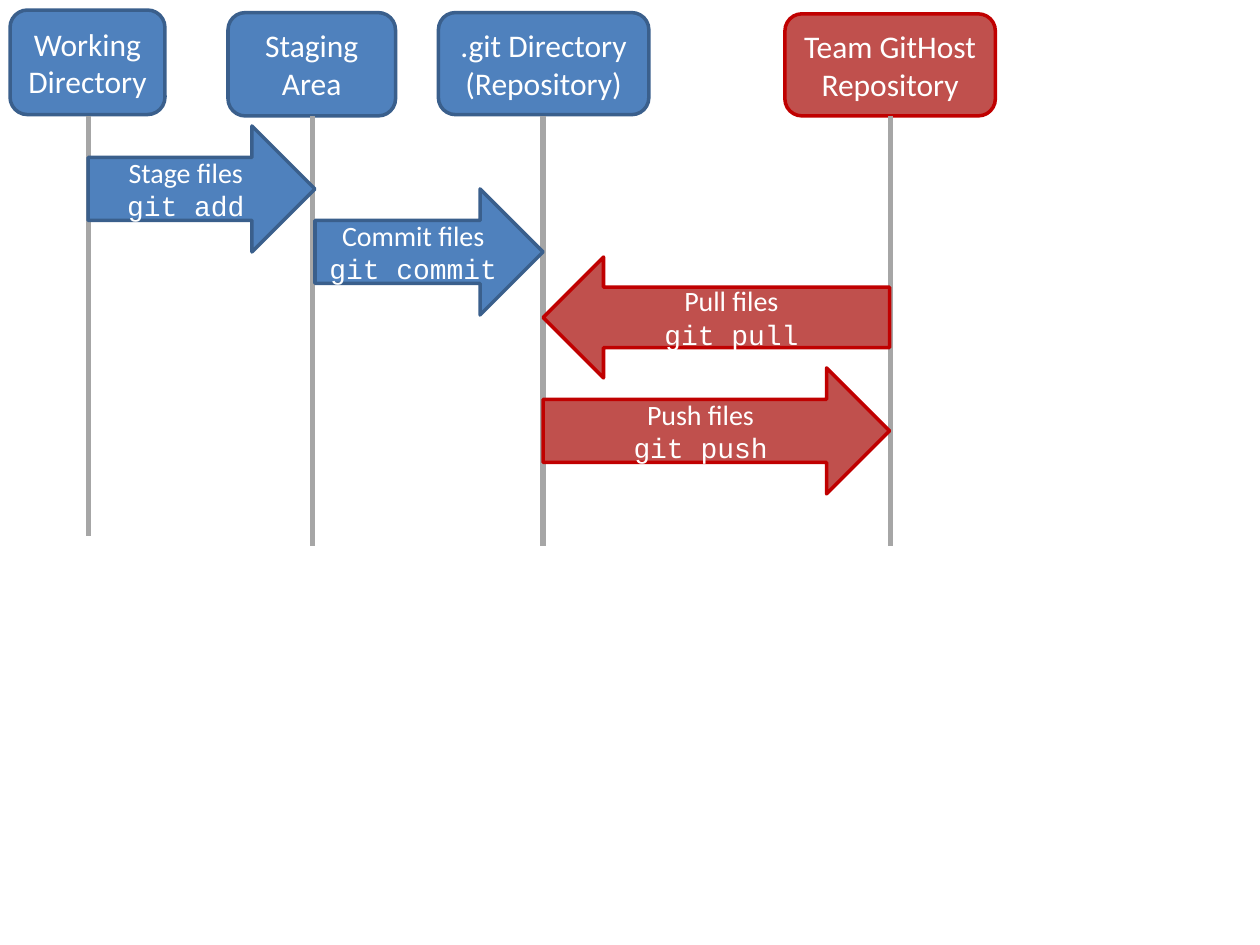
from pptx import Presentation
from pptx.dml.color import RGBColor
from pptx.enum.shapes import MSO_CONNECTOR, MSO_SHAPE
from pptx.enum.text import MSO_ANCHOR, PP_ALIGN
from pptx.oxml.ns import qn
from pptx.util import Inches, Pt
from lxml import etree

ROUND = MSO_SHAPE.ROUNDED_RECTANGLE
RIGHT = MSO_SHAPE.RIGHT_ARROW
LEFT = MSO_SHAPE.LEFT_ARROW
STRAIGHT = MSO_CONNECTOR.STRAIGHT
MIDDLE = MSO_ANCHOR.MIDDLE
CENTER = PP_ALIGN.CENTER

WHITE = RGBColor(0xFF, 0xFF, 0xFF)
GRAY = RGBColor(0xA6, 0xA6, 0xA6)
LOCAL = (RGBColor(0x4F, 0x81, 0xBD), RGBColor(0x3A, 0x5F, 0x8C))
REMOTE = (RGBColor(0xC0, 0x50, 0x4D), RGBColor(0xC0, 0x00, 0x00))

deck = Presentation()
deck.slide_width = Inches(10)
deck.slide_height = Inches(7.5)
slide = deck.slides.add_slide(deck.slide_layouts[6])


def add_block(text, kind, place, colors, size=18, fonts=("Calibri", "Calibri")):
    block = slide.shapes.add_shape(kind, *[Inches(n) for n in place])
    block.shadow.inherit = False
    block.fill.solid()
    block.fill.fore_color.rgb = colors[0]
    block.line.color.rgb = colors[1]
    block.line.width = Pt(2)
    frame = block.text_frame
    frame.word_wrap = True
    frame.vertical_anchor = MIDDLE
    frame.text = text
    for para, font in zip(frame.paragraphs, fonts):
        para.alignment = CENTER
        para.font.size = Pt(size)
        para.font.name = font
        para.font.color.rgb = WHITE


stages = [
    ("Working\nDirectory", (0.08, 0.08, 1.23, 0.83), LOCAL, 0.7, 4.25),
    ("Staging\nArea", (1.81, 0.1, 1.33, 0.82), LOCAL, 2.48, 4.33),
    (".git Directory\n(Repository)", (3.48, 0.1, 1.67, 0.81), LOCAL, 4.31, 4.33),
    ("Team GitHost Repository", (6.23, 0.11, 1.67, 0.81), REMOTE, 7.07, 4.33),
]
for text, place, colors, x, end in stages:
    add_block(text, ROUND, place, colors)
    lane = slide.shapes.add_connector(
        STRAIGHT, Inches(x), Inches(0.92), Inches(x), Inches(end))
    lane.line.color.rgb = GRAY
    lane.line.width = Pt(3)
    etree.SubElement(lane.element.spPr, qn("a:effectLst"))

steps = [
    ("Stage files\ngit add", RIGHT, (0.7, 1, 1.8, 1), LOCAL),
    ("Commit files\ngit commit", RIGHT, (2.5, 1.5, 1.81, 1), LOCAL),
    ("Push files\ngit push", RIGHT, (4.31, 2.92, 2.75, 1), REMOTE),
    ("Pull files\ngit pull", LEFT, (4.31, 2.04, 2.75, 0.96), REMOTE),
]
for text, kind, place, colors in steps:
    add_block(text, kind, place, colors, size=16, fonts=("Calibri", "Courier New"))

deck.save("out.pptx")
